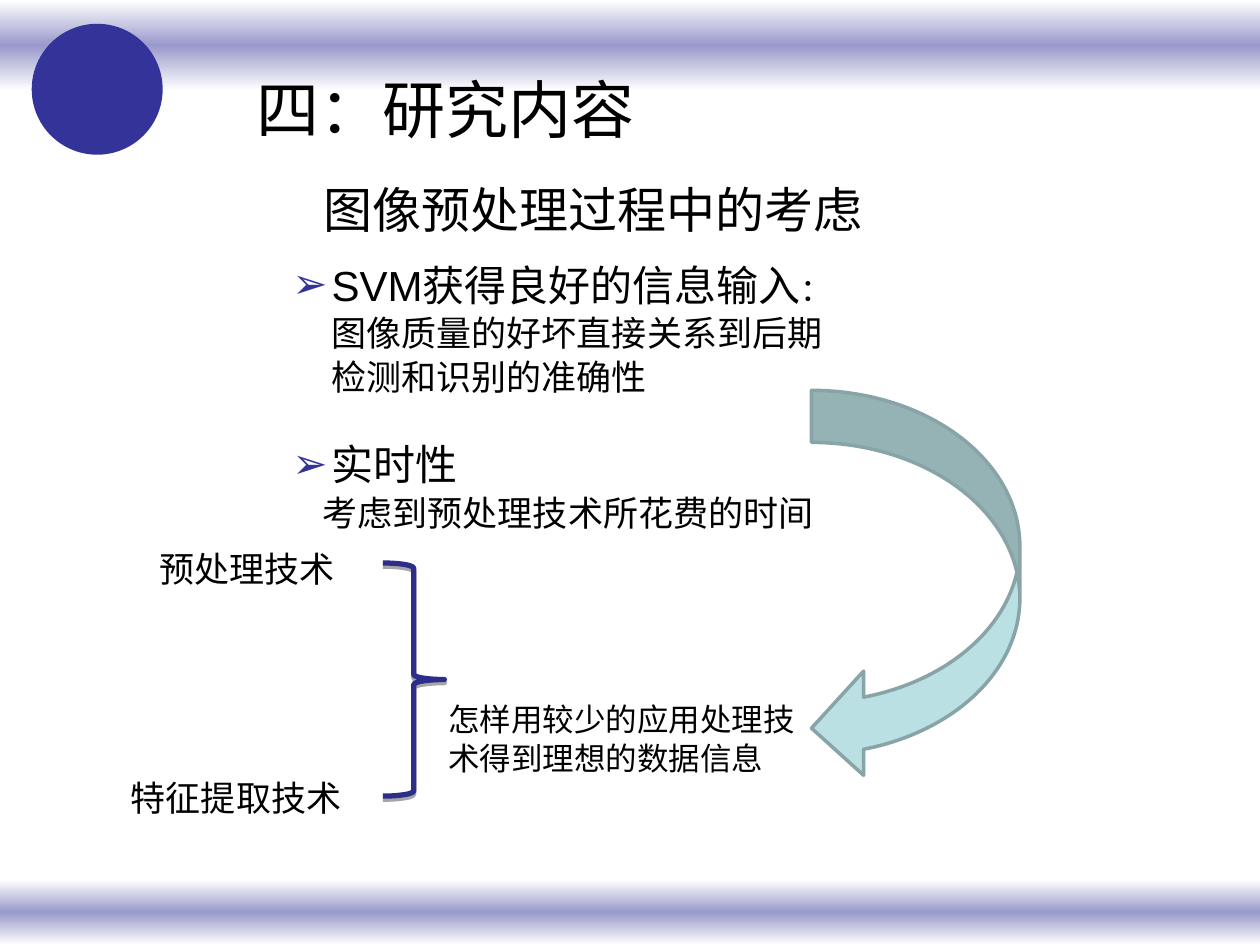
from copy import deepcopy
from lxml import etree
from pptx import Presentation, util as u
from pptx.dml.color import RGBColor
from pptx.enum import lang, shapes, text
from pptx.oxml import ns

HUES = {
    "ink": "000000",
    "navy": "333399",
    "deep": "2D2D8A",
    "haze": "9999CC",
    "white": "FFFFFF",
    "ice": "BBE0E3",
    "slate": "89A4A7",
}


def hue(name):
    return RGBColor.from_string(HUES[name])


def node(root, tag, **attrs):
    return etree.SubElement(root, ns.qn(tag), attrs)


def write(par, words, size=20, color="ink", face="Arial"):
    run = par.add_run()
    run.text = words
    font = run.font
    font.size = u.Pt(size)
    font.name = face
    font.color.rgb = hue(color)
    font.language_id = lang.MSO_LANGUAGE_ID.SIMPLIFIED_CHINESE
    latin = run._r.rPr.find(ns.qn("a:latin"))
    east = etree.Element(ns.qn("a:ea"), typeface=face)
    latin.addnext(east)
    par.line_spacing = 1.05
    par.space_before = par.space_after = u.Pt(0)


class Page:
    def __init__(self, deck):
        self.slide = deck.slides.add_slide(deck.slide_layouts[1])

    def place(self, item, box):
        item.left, item.top, item.width, item.height = map(u.Cm, box)

    def shape(self, kind, box, fill=None, line=None, width=1):
        item = self.slide.shapes.add_shape(kind, *map(u.Cm, box))
        item.shadow.inherit = False
        if fill:
            item.fill.solid()
            item.fill.fore_color.rgb = hue(fill)
        else:
            item.fill.background()
        if line:
            item.line.color.rgb = hue(line)
            item.line.width = u.Pt(width)
        else:
            item.line.fill.background()
        return item

    def band(self, top, height):
        item = self.shape(shapes.MSO_SHAPE.RECTANGLE, (0, top, 25.4, height))
        item.fill.gradient()
        item.fill.gradient_angle = 90
        stops = item._element.spPr.find(".//" + ns.qn("a:gsLst"))
        stops.append(deepcopy(stops[-1]))
        for i, stop in enumerate(item.fill.gradient_stops):
            stop.position = i / 2
            stop.color.rgb = hue("haze" if i == 1 else "white")

    def brace(self, box):
        item = self.shape(shapes.MSO_SHAPE.RIGHT_BRACE, box, line="deep", width=3)
        glow = item._element.spPr.find(ns.qn("a:effectLst"))
        shade = node(glow, "a:outerShdw", dist=str(u.Pt(1.8)), dir="5400000", rotWithShape="0")
        node(node(shade, "a:srgbClr", val=HUES["ink"]), "a:alpha", val="35000")

    def label(self, words, box, **style):
        frame = self.slide.shapes.add_textbox(*map(u.Cm, box)).text_frame
        frame.word_wrap = True
        write(frame.paragraphs[0], words, **style)

    def title(self, words, box, **style):
        item = self.slide.shapes.title
        self.place(item, box)
        frame = item.text_frame
        frame.auto_size = text.MSO_AUTO_SIZE.NONE
        frame.vertical_anchor = text.MSO_ANCHOR.MIDDLE
        par = frame.paragraphs[0]
        par.alignment = text.PP_ALIGN.CENTER
        write(par, words, **style)

    def list(self, rows, box):
        item = self.slide.placeholders[1]
        self.place(item, box)
        frame = item.text_frame
        frame.auto_size = text.MSO_AUTO_SIZE.NONE
        for i, (mark, gap, runs) in enumerate(rows):
            par = frame.paragraphs[0] if i == 0 else frame.add_paragraph()
            for words, size in runs:
                write(par, words, size=size)
            par.space_before = u.Pt(gap)
            self.bullet(par, mark)

    def bullet(self, par, mark):
        props = par._p.get_or_add_pPr()
        dent = u.Cm(0.79 if mark else 0.61)
        props.set("marL", str(dent))
        props.set("indent", str(-dent if mark else 0))
        if mark:
            node(node(props, "a:buClr"), "a:srgbClr", val=HUES["navy"])
            node(props, "a:buFont", typeface="Arial")
            node(props, "a:buChar", char=mark)
        else:
            node(props, "a:buNone")


def main():
    deck = Presentation()
    deck.slide_width, deck.slide_height = u.Cm(25.4), u.Cm(19.05)
    page = Page(deck)
    kinds = shapes.MSO_SHAPE

    page.band(17.73, 1.32)
    page.band(0, 1.83)
    page.shape(kinds.OVAL, (0.64, 0.48, 2.64, 2.64), fill="navy")

    page.title("图像预处理过程中的考虑", (4.93, 2.69, 14.05, 3), size=28)
    page.shape(kinds.CURVED_LEFT_ARROW, (16.36, 7.87, 4.2, 7.86), "ice", "slate", 2)
    page.label(
        "怎样用较少的应用处理技术得到理想的数据信息",
        (8.79, 13.94, 7.59, 1.78), size=18, face="Noto Sans CJK JP",
    )
    page.list([
        ("➢", 0, [
            ("SVM获得良好的信息输入", 24),
            ("：", 18),
            ("图像质量的好坏直接关系到后期检测和识别的准确性", 20),
        ]),
        ("➢", 22, [("实时性", 24)]),
        (None, 0, [("考虑到预处理技术所花费的时间", 20)]),
    ], (5.64, 5.05, 11.4, 5.59))
    page.brace((7.72, 11.35, 1.24, 4.7))
    page.label("预处理技术", (2.97, 10.87, 4.32, 1.12))
    page.label("特征提取技术", (2.39, 15.49, 6.53, 1.12))
    page.label("四：研究内容", (4.93, 1.22, 8.69, 1.78), size=36)

    deck.save("out.pptx")


if __name__ == "__main__":
    main()
